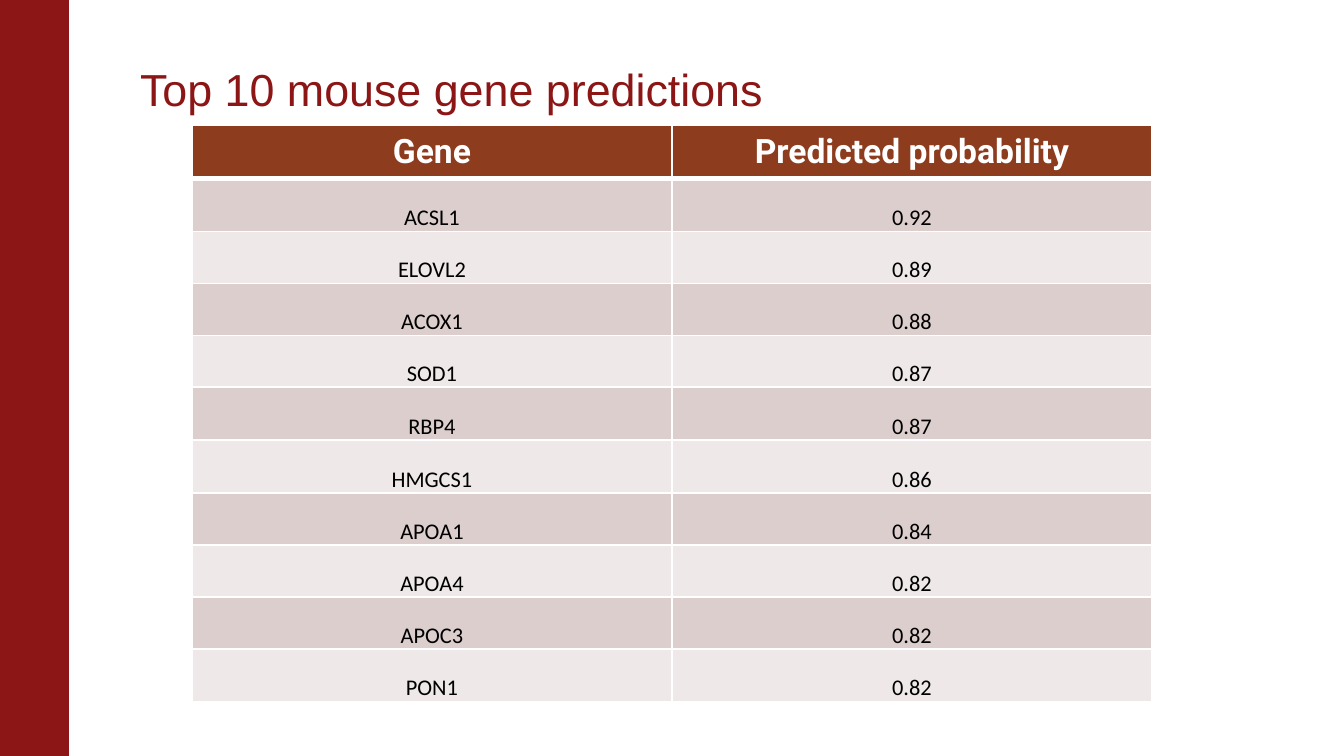
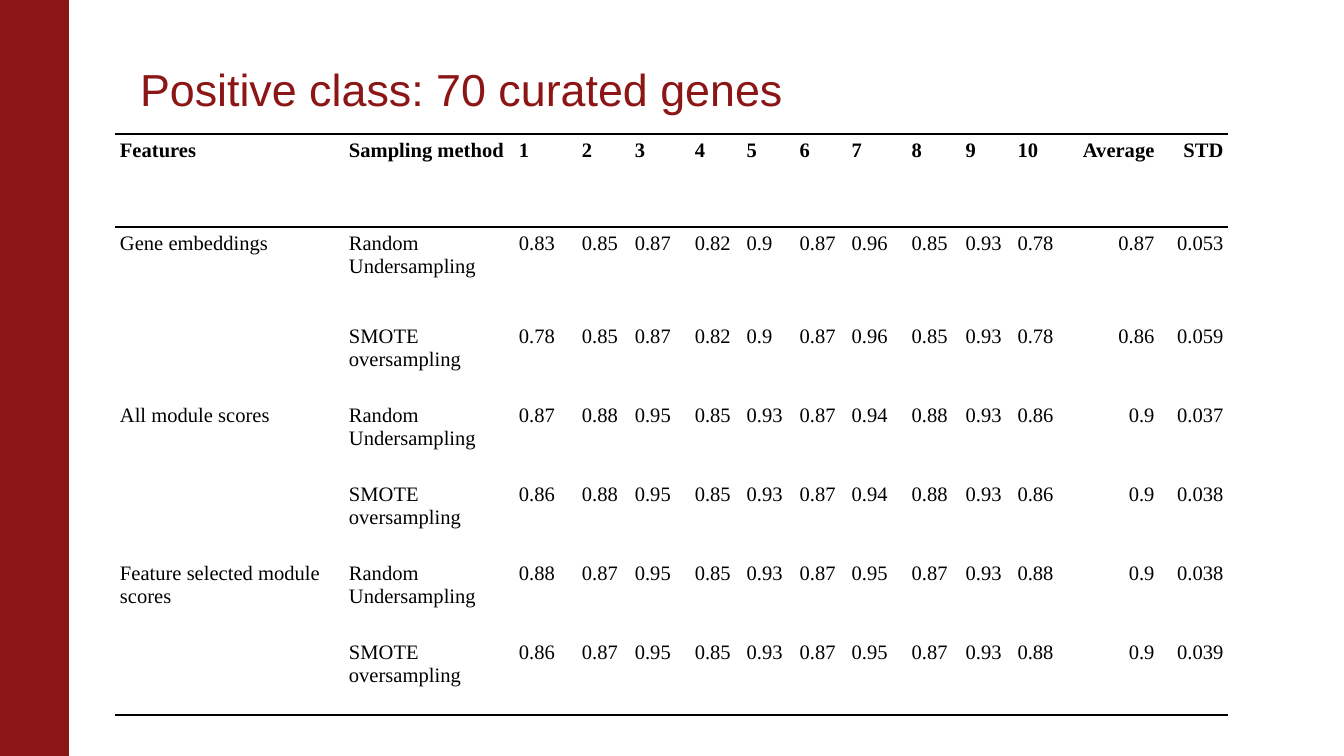
import pptx
import pptx.util
import pptx.dml.color
import pptx.enum.shapes
import pptx.enum.text
import pptx.oxml.ns
import lxml.etree

SCALE = 914400 / 134.4
PLAIN = "{2D5ABB26-0587-4C30-8999-92F81FD0307C}"
HUES = {"red": "8C1515", "rust": "8D3C1E", "rose": "DBCECD",
        "pale": "EEE8E8", "white": "FFFFFF", "black": "000000"}
ALIGN = pptx.enum.text.PP_ALIGN
ANCHOR = pptx.enum.text.MSO_ANCHOR


def write(frame, text, font, size, hue, bold=False, align=ALIGN.LEFT,
          anchor=ANCHOR.TOP, pad=(13, 7, 13, 7), lead=None):
    # frame: a shape's text frame or a table cell
    frame.text = text
    frame.margin_left, frame.margin_top, frame.margin_right, frame.margin_bottom = [
        round(p * SCALE) for p in pad]
    frame.vertical_anchor = anchor
    body = getattr(frame, "text_frame", frame)
    body.word_wrap = True
    para = body.paragraphs[0]
    para.alignment = align
    if lead:
        para.line_spacing = lead
    face = para.runs[0].font if para.runs else para.font
    face.name, face.size, face.bold = font, pptx.util.Pt(size), bold
    face.color.rgb = pptx.dml.color.RGBColor.from_string(HUES[hue])


def edge(cell, hue, sides):
    props = cell._tc.get_or_add_tcPr()
    for side, width in sides.items():
        line = lxml.etree.SubElement(props, pptx.oxml.ns.qn("a:ln" + side),
                                     w=str(pptx.util.Pt(width)))
        fill = lxml.etree.SubElement(line, pptx.oxml.ns.qn("a:solidFill"))
        lxml.etree.SubElement(fill, pptx.oxml.ns.qn("a:srgbClr"), val=HUES[hue])


deck = pptx.Presentation()
deck.slide_width, deck.slide_height = round(1344 * SCALE), round(756 * SCALE)
layout = deck.slide_layouts[5]

genes = [("Gene", "Predicted probability"), ("ACSL1", "0.92"), ("ELOVL2", "0.89"),
         ("ACOX1", "0.88"), ("SOD1", "0.87"), ("RBP4", "0.87"), ("HMGCS1", "0.86"),
         ("APOA1", "0.84"), ("APOA4", "0.82"), ("APOC3", "0.82"), ("PON1", "0.82")]
heads = ["Features", "Sampling method", *map(str, range(1, 11)), "Average", "STD"]
traits = ["Gene embeddings", "All module scores", "Feature selected module scores"]
means = ["Random Undersampling", "SMOTE oversampling"]
marks = ["0.83 0.85 0.87 0.82 0.9 0.87 0.96 0.85 0.93 0.78 0.87 0.053",
         "0.78 0.85 0.87 0.82 0.9 0.87 0.96 0.85 0.93 0.78 0.86 0.059",
         "0.87 0.88 0.95 0.85 0.93 0.87 0.94 0.88 0.93 0.86 0.9 0.037",
         "0.86 0.88 0.95 0.85 0.93 0.87 0.94 0.88 0.93 0.86 0.9 0.038",
         "0.88 0.87 0.95 0.85 0.93 0.87 0.95 0.87 0.93 0.88 0.9 0.038",
         "0.86 0.87 0.95 0.85 0.93 0.87 0.95 0.87 0.93 0.88 0.9 0.039"]
scores = [heads] + [["" if i % 2 else traits[i // 2], means[i % 2], *mark.split()]
                    for i, mark in enumerate(marks)]

pages = [("Top 10 mouse gene predictions", genes, 192, 125, [480, 480],
          [53 if r % 5 < 2 else 52 for r in range(11)]),
         ("Positive class: 70 curated genes", scores, 115, 134,
          [229, 170, 63, 53, 60, 52, 53, 52, 60, 54, 52, 56, 91, 69],
          [93, 93] + [79] * 5)]
grids = []
for name, rows, left, top, wides, talls in pages:
    slide = deck.slides.add_slide(layout)
    title = slide.shapes.title
    title.left, title.top, title.width, title.height = [
        round(n * SCALE) for n in (140, 52, 1133, 71)]
    write(title.text_frame, name, "Arial", 24, "red", anchor=ANCHOR.BOTTOM,
          pad=(0, 7, 13, 7), lead=0.85)
    title.text_frame.auto_size = pptx.enum.text.MSO_AUTO_SIZE.NONE
    grid = slide.shapes.add_table(
        len(rows), len(wides), round(left * SCALE), round(top * SCALE),
        round(sum(wides) * SCALE), round(sum(talls) * SCALE)).table
    grid._tbl.tblPr.find(pptx.oxml.ns.qn("a:tableStyleId")).text = PLAIN
    for col, wide in zip(grid.columns, wides):
        col.width = round(wide * SCALE)
    for row, tall in zip(grid.rows, talls):
        row.height = round(tall * SCALE)
    grids.append(grid)

band = deck.slides[0].shapes.add_shape(
    pptx.enum.shapes.MSO_SHAPE.RECTANGLE, 0, 0, round(68 * SCALE), deck.slide_height)
band.shadow.inherit = False
band.fill.solid()
band.fill.fore_color.rgb = pptx.dml.color.RGBColor.from_string(HUES["red"])
band.line.color.rgb = pptx.dml.color.RGBColor.from_string(HUES["red"])
band.line.width = pptx.util.Pt(0.75)
layout.shapes.element.insert(2, band.element)

for r, row in enumerate(genes):
    for c, text in enumerate(row):
        cell = grids[0].cell(r, c)
        if r == 0:
            write(cell, text, "Roboto", 18, "white", bold=True, align=ALIGN.CENTER)
        else:
            write(cell, text, "Calibri", 12, "black", align=ALIGN.CENTER,
                  anchor=ANCHOR.BOTTOM, pad=(1, 1, 1, 0))
        edge(cell, "white", {"L": 1, "R": 1, "T": 3 if r == 1 else 1,
                             "B": 3 if r == 0 else 1})
        cell.fill.solid()
        tint = "rust" if r == 0 else "rose" if r % 2 else "pale"
        cell.fill.fore_color.rgb = pptx.dml.color.RGBColor.from_string(HUES[tint])

for r, row in enumerate(scores):
    for c, text in enumerate(row):
        cell = grids[1].cell(r, c)
        write(cell, text, "Times New Roman", 11, "black", bold=r == 0,
              align=ALIGN.RIGHT if c > 11 else ALIGN.LEFT, pad=(5, 5, 5, 5))
        if r == 0:
            edge(cell, "black", {"T": 1, "B": 1})
        elif r == 6 or (r, c) == (5, 0):
            edge(cell, "black", {"B": 1})
        cell.fill.background()
for r in (1, 3, 5):
    grids[1].cell(r, 0).merge(grids[1].cell(r + 1, 0))

deck.save("out.pptx")
